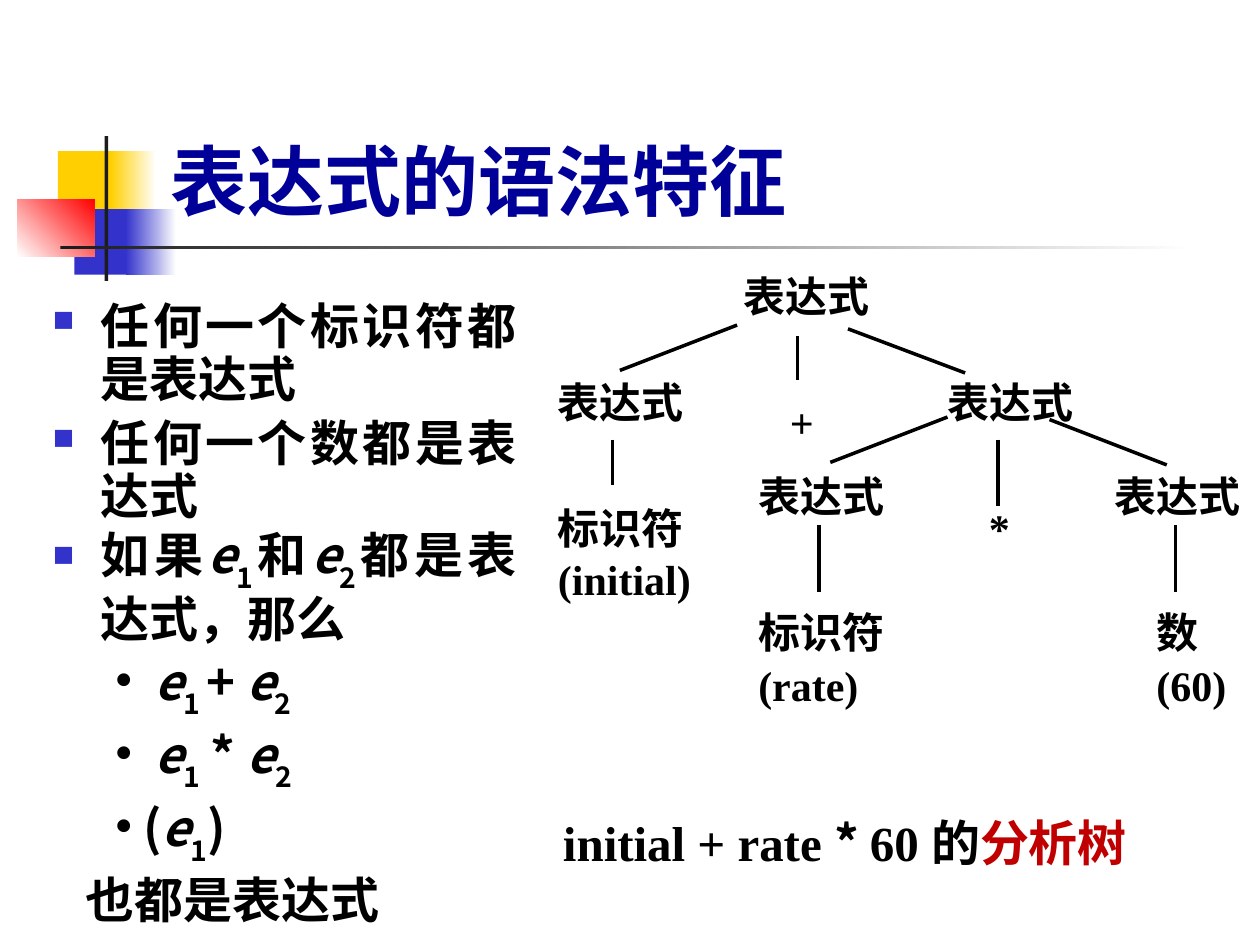
from lxml import etree
from pptx import Presentation
from pptx.dml.color import RGBColor
from pptx.enum.shapes import MSO_CONNECTOR as CONN, MSO_SHAPE as SHAPE
from pptx.enum.text import MSO_ANCHOR as ANCHOR, PP_ALIGN as ALIGN
from pptx.oxml.ns import qn
from pptx.util import Emu, Pt

PX = 9144  # 100 px to the inch
BLACK = RGBColor(0x00, 0x00, 0x00)
WHITE = RGBColor(0xFF, 0xFF, 0xFF)
YELLOW = RGBColor(0xFF, 0xCF, 0x01)
BLUE = RGBColor(0x33, 0x33, 0xCC)
RED = RGBColor(0xFF, 0x00, 0x00)
DARK = RGBColor(0x1C, 0x1C, 0x1C)
NAVY = RGBColor(0x00, 0x00, 0x99)
CRIMSON = RGBColor(0xC0, 0x00, 0x00)
SANS, SANS_SC, SERIF = "Noto Sans CJK JP", "Noto Sans CJK SC", "Times New Roman"

prs = Presentation()
prs.slide_width, prs.slide_height = Emu(1000 * PX), Emu(750 * PX)
s = prs.slides.add_slide(prs.slide_layouts[6])


def add_box(x, y, w, h, wrap=True, anchor=ANCHOR.TOP):
    tf = s.shapes.add_textbox(x * PX, y * PX, w * PX, h * PX).text_frame
    tf.word_wrap = wrap
    tf.vertical_anchor = anchor
    return tf


def add_run(p, text, size, font, color=BLACK):
    r = p.add_run()
    r.text = text
    r.font.size, r.font.bold, r.font.name = Pt(size), True, font
    r.font.color.rgb = color
    east_asian = SANS_SC if font == SERIF else font
    etree.SubElement(r.font._element, qn("a:ea"), typeface=east_asian)
    return r


# Corner blocks and rules: place, start colour, end colour, angle
for place, start, end, angle in [
    ((46, 120, 48, 52), YELLOW, None, 0),
    ((88, 120, 36, 52), YELLOW, WHITE, 0),
    ((59, 166, 46, 52), BLUE, None, 0),
    ((100, 166, 40, 52), BLUE, WHITE, 0),
    ((14, 158, 61, 46), WHITE, RED, 45),
    ((83, 108, 3, 115), DARK, None, 0),
    ((48, 195, 900, 3), DARK, WHITE, 0),
]:
    sp = s.shapes.add_shape(SHAPE.RECTANGLE, *(v * PX for v in place))
    sp.shadow.inherit = False
    sp.line.fill.background()
    if end is None:
        sp.fill.solid()
        sp.fill.fore_color.rgb = start
    else:
        sp.fill.gradient()
        sp.fill.gradient_angle = angle
        for stop, color in zip(sp.fill.gradient_stops, (start, end)):
            stop.color.rgb = color

# Title
tf = add_box(117, 83, 526, 96, anchor=ANCHOR.BOTTOM)
tf.margin_bottom = 0
tf.paragraphs[0].alignment = ALIGN.CENTER
add_run(tf.paragraphs[0], "表达式的语法特征", 44, SANS, NAVY)

# Rules on the left: bullet, left margin, indent, space before, runs
# In the runs "e" is italic and a digit is a subscript
SQUARE, DOT = "n", "•"
RULES = [
    (SQUARE, 38, -38, 0, ["任何一个标识符都是表达式"]),
    (SQUARE, 38, -38, 6.5, ["任何一个数都是表达式"]),
    (SQUARE, 38, -38, 9.5, ["如果", "e", "1", "和", "e", "2", "都是表达式，那么"]),
    (DOT, 81, -31, 11.5, ["e", "1 ", "+ ", "e", "2"]),
    (DOT, 81, -31, 11.5, ["e", "1", " * ", "e", "2"]),
    (DOT, 72, -22, 11.5, ["(", "e", "1", ")"]),
    (None, 26, 0, 5, ["也都是表达式"]),
]
tf = add_box(32, 234, 388, 511)
for i, (bullet, margin, indent, before, runs) in enumerate(RULES):
    p = tf.paragraphs[0] if i == 0 else tf.add_paragraph()
    p.alignment = ALIGN.JUSTIFY if bullet else ALIGN.LEFT
    p.line_spacing = Pt(30.3)
    p.space_before = Pt(before)
    pPr = p._p.get_or_add_pPr()
    pPr.set("marL", str(margin * PX))
    pPr.set("indent", str(indent * PX))
    if bullet == SQUARE:
        clr = etree.SubElement(pPr, qn("a:buClr"))
        etree.SubElement(clr, qn("a:srgbClr"), val=str(BLUE))
        etree.SubElement(pPr, qn("a:buSzPct"), val="60000")
        etree.SubElement(pPr, qn("a:buFont"), typeface="Wingdings")
    if bullet:
        etree.SubElement(pPr, qn("a:buChar"), char=bullet)
    for text in runs:
        r = add_run(p, text, 28, SANS)
        if text == "e":
            r.font.italic = True
        elif text.strip().isdigit():
            r.font._element.set("baseline", "-30000")

# Parse tree: branches
for x1, y1, x2, y2 in [
    (585, 258, 492, 294), (633, 267, 633, 302), (673, 261, 766, 296),
    (486, 349, 486, 385), (752, 331, 659, 367), (792, 349, 792, 402),
    (833, 333, 926, 369), (650, 417, 650, 470), (933, 417, 933, 470),
]:
    branch = s.shapes.add_connector(CONN.STRAIGHT, x1 * PX, y1 * PX, x2 * PX, y2 * PX)
    branch.line.color.rgb = BLACK
    branch.line.width = Pt(2)
    etree.SubElement(branch._element.spPr, qn("a:effectLst"))

# Parse tree: nodes
for x, y, w, h, *lines in [
    (580, 208, 125, 71, "表达式"),
    (433, 292, 125, 71, "表达式"),
    (617, 308, 53, 71, "+"),
    (742, 292, 142, 71, "表达式"),
    (433, 392, 133, 58, "标识符"),
    (433, 433, 131, 71, "(initial)"),
    (592, 367, 136, 71, "表达式"),
    (775, 392, 53, 71, "*"),
    (875, 367, 125, 71, "表达式"),
    (592, 475, 127, 94, "标识符", "(rate)"),
    (908, 475, 80, 92, "数", "(60)"),
]:
    tf = add_box(x, y, w, h)
    for i, line in enumerate(lines):
        p = tf.paragraphs[0] if i == 0 else tf.add_paragraph()
        p.alignment = ALIGN.JUSTIFY
        p.line_spacing = Pt(30)
        add_run(p, line, 24, SERIF)

# Caption under the tree
p = add_box(437, 635, 520, 67, wrap=False, anchor=ANCHOR.MIDDLE).paragraphs[0]
add_run(p, "initial + rate ", 28, SERIF)
add_run(p, "* ", 28, SANS_SC)
add_run(p, "60 的", 28, SERIF)
add_run(p, "分析树", 28, SERIF, CRIMSON)

prs.save("out.pptx")
